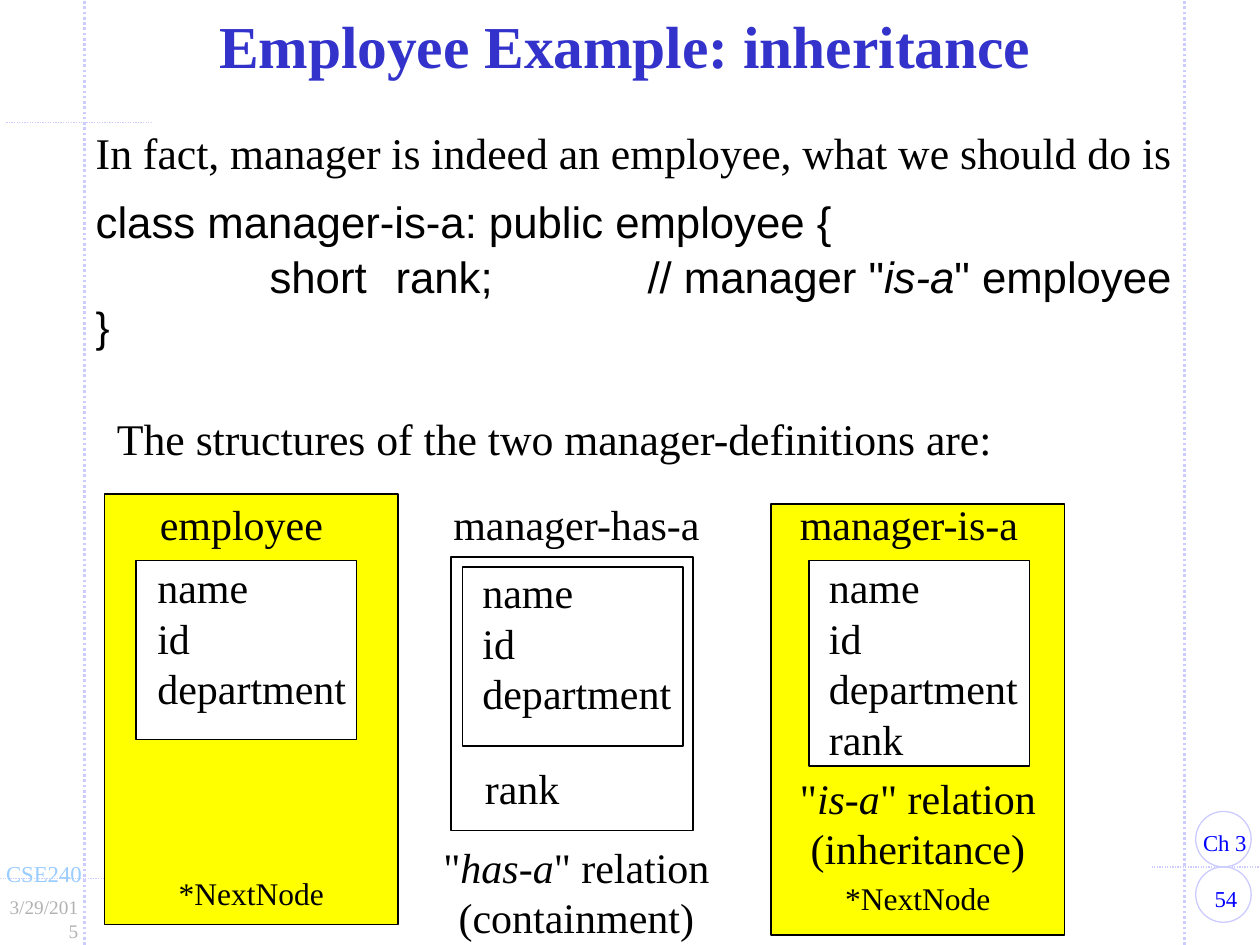
import pptx
import pptx.util
import pptx.dml.color
import pptx.enum.dml
import pptx.enum.shapes
import pptx.enum.text
import pptx.oxml.ns
from lxml import etree

Inches = pptx.util.Inches
Pt = pptx.util.Pt
qn = pptx.oxml.ns.qn
RGBColor = pptx.dml.color.RGBColor
PP_ALIGN = pptx.enum.text.PP_ALIGN
MSO_SHAPE = pptx.enum.shapes.MSO_SHAPE

COLORS = {
    "black": "000000",
    "white": "FFFFFF",
    "yellow": "FFFF00",
    "title": "3333CC",
    "guide": "CCCCFF",
    "footer": "0000FF",
    "course": "99CCFF",
    "date": "B2B2B2",
}
SERIF = "Times New Roman"

presentation = pptx.Presentation()
presentation.slide_width = Inches(10)
presentation.slide_height = Inches(7.5)
slide = presentation.slides.add_slide(presentation.slide_layouts[1])


def write_runs(paragraph, text, size, color="black", font=SERIF, bold=False):
    for index, part in enumerate(text.split("|")):
        run = paragraph.add_run()
        run.text = part
        run.font.size = Pt(size)
        run.font.name = font
        run.font.bold = bold
        run.font.italic = index % 2 == 1
        run.font.color.rgb = RGBColor.from_string(COLORS[color])


def add_text(box, lines, size, color="black", align=PP_ALIGN.LEFT, wrap=False, spacing=None):
    left, top, width, height = box
    text_box = slide.shapes.add_textbox(Inches(left), Inches(top), Inches(width), Inches(height))
    frame = text_box.text_frame
    frame.word_wrap = wrap
    for index, line in enumerate(lines):
        paragraph = frame.add_paragraph() if index else frame.paragraphs[0]
        paragraph.alignment = align
        if spacing:
            paragraph.line_spacing = spacing
        write_runs(paragraph, line, size, color)


guides = [
    (0.67, 7.5, 0.67, 0, 1.5),
    (9.4, 7.5, 9.4, 0, 1.5),
    (0, 6.97, 1.15, 6.97, 0.75),
    (9.14, 6.88, 10.05, 6.88, 0.75),
    (0.05, 0.97, 1.2, 0.97, 0.75),
]
for x1, y1, x2, y2, width in guides:
    guide = slide.shapes.add_connector(
        pptx.enum.shapes.MSO_CONNECTOR.STRAIGHT, Inches(x1), Inches(y1), Inches(x2), Inches(y2)
    )
    guide.line.color.rgb = RGBColor.from_string(COLORS["guide"])
    guide.line.width = Pt(width)
    guide.line.dash_style = pptx.enum.dml.MSO_LINE.ROUND_DOT
    etree.SubElement(guide._element.spPr, qn("a:effectLst"))

outlines = [
    (MSO_SHAPE.OVAL, 9.49, 6.88, 0.44, 0.44, None, "guide"),
    (MSO_SHAPE.OVAL, 9.49, 6.44, 0.44, 0.44, None, "guide"),
    (MSO_SHAPE.RECTANGLE, 6.12, 4, 2.33, 3.42, "yellow", "black"),
    (MSO_SHAPE.RECTANGLE, 0.83, 3.92, 2.33, 3.42, "yellow", "black"),
    (MSO_SHAPE.RECTANGLE, 1.08, 4.45, 1.75, 1.42, "white", "black"),
    (MSO_SHAPE.RECTANGLE, 3.67, 4.5, 1.75, 1.42, "white", "black"),
    (MSO_SHAPE.RECTANGLE, 3.58, 4.42, 1.92, 2.17, None, "black"),
    (MSO_SHAPE.RECTANGLE, 6.42, 4.45, 1.75, 1.63, "white", "black"),
]
for kind, left, top, width, height, fill, line in outlines:
    shape = slide.shapes.add_shape(kind, Inches(left), Inches(top), Inches(width), Inches(height))
    shape.shadow.inherit = False
    if fill:
        shape.fill.solid()
        shape.fill.fore_color.rgb = RGBColor.from_string(COLORS[fill])
    else:
        shape.fill.background()
    shape.line.color.rgb = RGBColor.from_string(COLORS[line])
    shape.line.width = Pt(0.75)

add_text((9.44, 6.97, 0.58, 0.32), ["54"], 13, "footer", PP_ALIGN.CENTER, wrap=True)
add_text((9.45, 6.53, 0.56, 0.32), ["Ch 3"], 13, "footer")
add_text((-0.05, 6.77, 0.81, 0.32), ["CSE240"], 13, "course")
add_text((-0.04, 7.06, 0.76, 0.42), ["3/29/2015"], 11, "date", PP_ALIGN.RIGHT, wrap=True)

title = slide.shapes.title
title.left, title.top = Inches(0.61), Inches(0.05)
title.width, title.height = Inches(8.82), Inches(0.7)
title.text_frame.auto_size = pptx.enum.text.MSO_AUTO_SIZE.NONE
title.text_frame.vertical_anchor = pptx.enum.text.MSO_ANCHOR.MIDDLE
heading = title.text_frame.paragraphs[0]
heading.alignment = PP_ALIGN.CENTER
heading.line_spacing = 0.85
write_runs(heading, "Employee Example: inheritance ", 34, "title", bold=True)

body = slide.placeholders[1]
body.left, body.top = Inches(0.66), Inches(1.08)
body.width, body.height = Inches(8.84), Inches(1.83)
body.text_frame.auto_size = pptx.enum.text.MSO_AUTO_SIZE.NONE
body_lines = [
    ("In fact, manager is indeed an employee, what we should do is", 0.65, 25, SERIF),
    ("class manager-is-a: public employee {", 0.95, 25, "Arial"),
    ("\t\tshort\trank;\t\t// manager \"|is-a|\" employee", 0.55, 25, "Arial"),
    ("}", 0.55, 24, "Arial"),
]
for index, (line, spacing, size, font) in enumerate(body_lines):
    paragraph = body.text_frame.add_paragraph() if index else body.text_frame.paragraphs[0]
    paragraph.line_spacing = spacing
    properties = paragraph._p.get_or_add_pPr()
    properties.set("marL", str(Inches(0.38)))
    properties.set("indent", str(Inches(-0.38)))
    properties.set("defTabSz", str(Inches(1)))
    space_before = etree.SubElement(properties, qn("a:spcBef"))
    percent = etree.SubElement(space_before, qn("a:spcPct"))
    percent.set("val", "50000" if index else "0")
    etree.SubElement(properties, qn("a:buNone"))
    write_runs(paragraph, line, size, font=font)

add_text((0.83, 3.16, 7.25, 0.58), ["The structures of the two manager-definitions are:"], 25, spacing=1.15)

fields = ["name", "id", "department"]
for box, lines in [
    ((1.17, 3.91, 1.6, 0.5), ["employee"]),
    ((3.5, 3.91, 2.2, 0.5), ["manager-has-a"]),
    ((6.25, 3.91, 2, 0.5), ["manager-is-a"]),
    ((1.15, 4.41, 1.75, 1.3), fields),
    ((3.73, 4.45, 1.75, 1.3), fields),
    ((6.48, 4.41, 1.75, 1.7), fields + ["rank"]),
    ((3.75, 6, 0.85, 0.5), ["rank"]),
]:
    add_text(box, lines, 24, wrap=True)

for box, lines in [
    ((3.32, 6.63, 2.51, 0.9), ['"|has-a|" relation', "(containment)"]),
    ((6.15, 6.08, 2.27, 0.9), ['"|is-a|" relation', "(inheritance)"]),
]:
    add_text(box, lines, 24, align=PP_ALIGN.CENTER, wrap=True)

for left, top in [(6.61, 6.93), (1.32, 6.89)]:
    add_text((left, top, 1.45, 0.4), ["*NextNode"], 18, wrap=True)

presentation.save("out.pptx")
